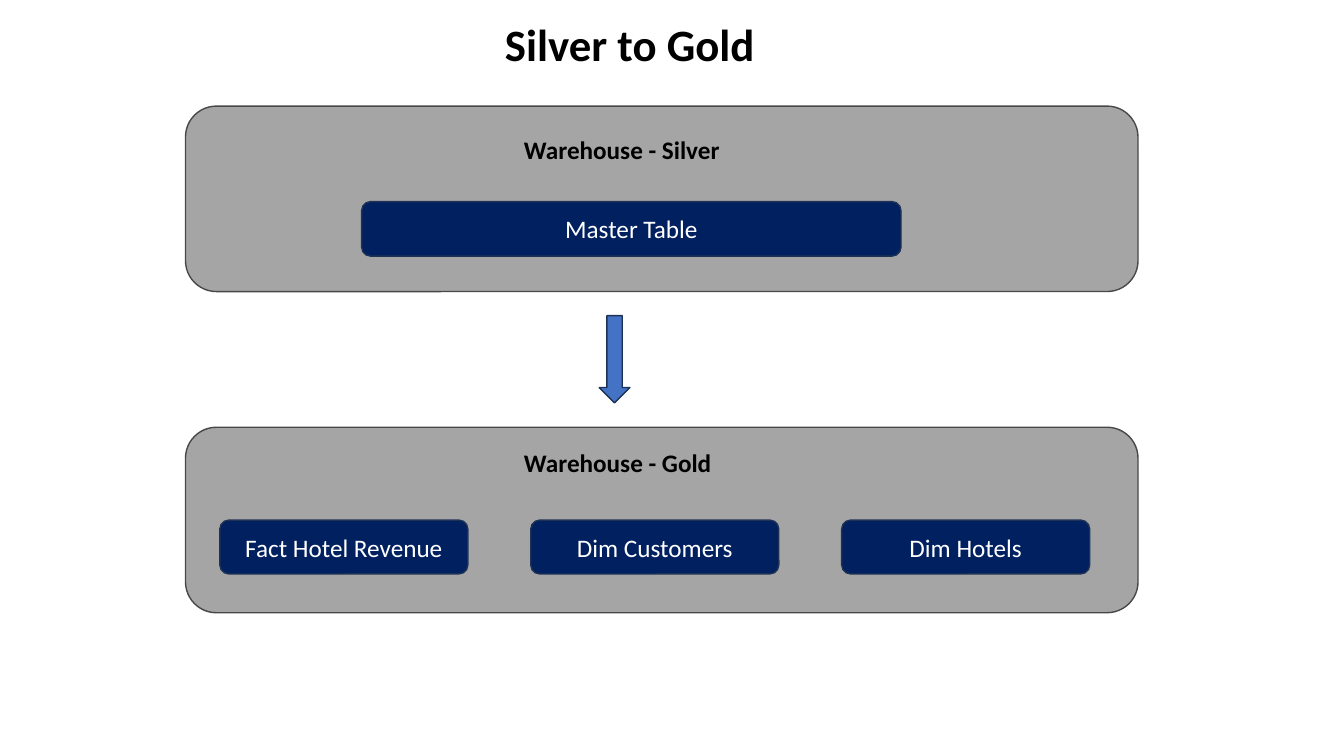
from dataclasses import dataclass

from pptx import Presentation
from pptx.dml.color import RGBColor
from pptx.enum.shapes import MSO_SHAPE
from pptx.enum.text import MSO_ANCHOR, MSO_AUTO_SIZE, PP_ALIGN
from pptx.shapes.autoshape import Shape
from pptx.slide import Slide
from pptx.util import Pt


@dataclass(frozen=True)
class Theme:
    font: str = "Calibri"
    title_size: int = 32
    text_size: int = 18
    dark_text: str = "000000"
    light_text: str = "FFFFFF"
    layer_fill: str = "A5A5A5"
    layer_line: str = "484848"
    table_fill: str = "002060"
    arrow_fill: str = "4472C4"
    accent_line: str = "1E3256"


@dataclass(frozen=True)
class Box:
    left: float
    top: float
    width: float
    height: float


@dataclass(frozen=True)
class Table:
    name: str
    box: Box


@dataclass(frozen=True)
class Layer:
    name: str
    box: Box
    label_top: float
    tables: tuple[Table, ...]


THEME = Theme()
LAYER_LEFT, LAYER_WIDTH, LAYER_HEIGHT = 132.5, 680.4, 132.5
LABEL_LEFT, LABEL_WIDTH, LABEL_HEIGHT = 367.2, 165, 29
GOLD_LEFT, GOLD_STEP = 157, 222.1
GOLD_NAMES = ("Fact Hotel Revenue", "Dim Customers", "Dim Hotels")

LAYERS = (
    Layer(
        "Warehouse - Silver",
        Box(LAYER_LEFT, 75.8, LAYER_WIDTH, LAYER_HEIGHT),
        92.2,
        (Table("Master Table", Box(258.3, 144, 385.3, 39)),),
    ),
    Layer(
        "Warehouse - Gold",
        Box(LAYER_LEFT, 305.2, LAYER_WIDTH, LAYER_HEIGHT),
        315.6,
        tuple(
            Table(name, Box(GOLD_LEFT + index * GOLD_STEP, 371.5, 177.2, 38.5))
            for index, name in enumerate(GOLD_NAMES)
        ),
    ),
)
TITLE_BOX = Box(353.5, 8.6, 194.4, 46)
ARROW_BOX = Box(428, 225.5, 22, 62.3)


def place(shape: Shape, box: Box) -> None:
    shape.left, shape.top = Pt(box.left), Pt(box.top)
    shape.width, shape.height = Pt(box.width), Pt(box.height)


def write_text(
    shape: Shape,
    text: str,
    *,
    size: int = THEME.text_size,
    color: str = THEME.dark_text,
    bold: bool = False,
    align: PP_ALIGN = PP_ALIGN.LEFT,
    anchor: MSO_ANCHOR = MSO_ANCHOR.TOP,
    wrap: bool = False,
) -> None:
    frame = shape.text_frame
    frame.auto_size = MSO_AUTO_SIZE.NONE
    frame.word_wrap = wrap
    frame.vertical_anchor = anchor
    paragraph = frame.paragraphs[0]
    paragraph.alignment = align
    run = paragraph.add_run()
    run.text = text
    run.font.name = THEME.font
    run.font.size = Pt(size)
    run.font.bold = bold
    run.font.color.rgb = RGBColor.from_string(color)


def add_block(slide: Slide, kind: MSO_SHAPE, box: Box, fill: str, line: str) -> Shape:
    shape = slide.shapes.add_shape(
        kind, Pt(box.left), Pt(box.top), Pt(box.width), Pt(box.height)
    )
    shape.shadow.inherit = False
    shape.fill.solid()
    shape.fill.fore_color.rgb = RGBColor.from_string(fill)
    shape.line.color.rgb = RGBColor.from_string(line)
    shape.line.width = Pt(1)
    return shape


def add_table_block(slide: Slide, table: Table) -> None:
    shape = add_block(
        slide, MSO_SHAPE.ROUNDED_RECTANGLE, table.box, THEME.table_fill, THEME.accent_line
    )
    write_text(
        shape,
        table.name,
        color=THEME.light_text,
        align=PP_ALIGN.CENTER,
        anchor=MSO_ANCHOR.MIDDLE,
        wrap=True,
    )


def add_layer(slide: Slide, layer: Layer) -> None:
    add_block(
        slide, MSO_SHAPE.ROUNDED_RECTANGLE, layer.box, THEME.layer_fill, THEME.layer_line
    )
    label = slide.shapes.add_textbox(
        Pt(LABEL_LEFT), Pt(layer.label_top), Pt(LABEL_WIDTH), Pt(LABEL_HEIGHT)
    )
    write_text(label, layer.name, bold=True)
    for table in layer.tables:
        add_table_block(slide, table)


def main() -> None:
    presentation = Presentation()
    presentation.slide_width, presentation.slide_height = Pt(960), Pt(540)
    slide = presentation.slides.add_slide(presentation.slide_layouts[5])
    title = slide.shapes.title
    place(title, TITLE_BOX)
    write_text(title, "Silver to Gold", size=THEME.title_size, bold=True)
    for layer in LAYERS:
        add_layer(slide, layer)
    add_block(slide, MSO_SHAPE.DOWN_ARROW, ARROW_BOX, THEME.arrow_fill, THEME.accent_line)
    presentation.save("out.pptx")


if __name__ == "__main__":
    main()
